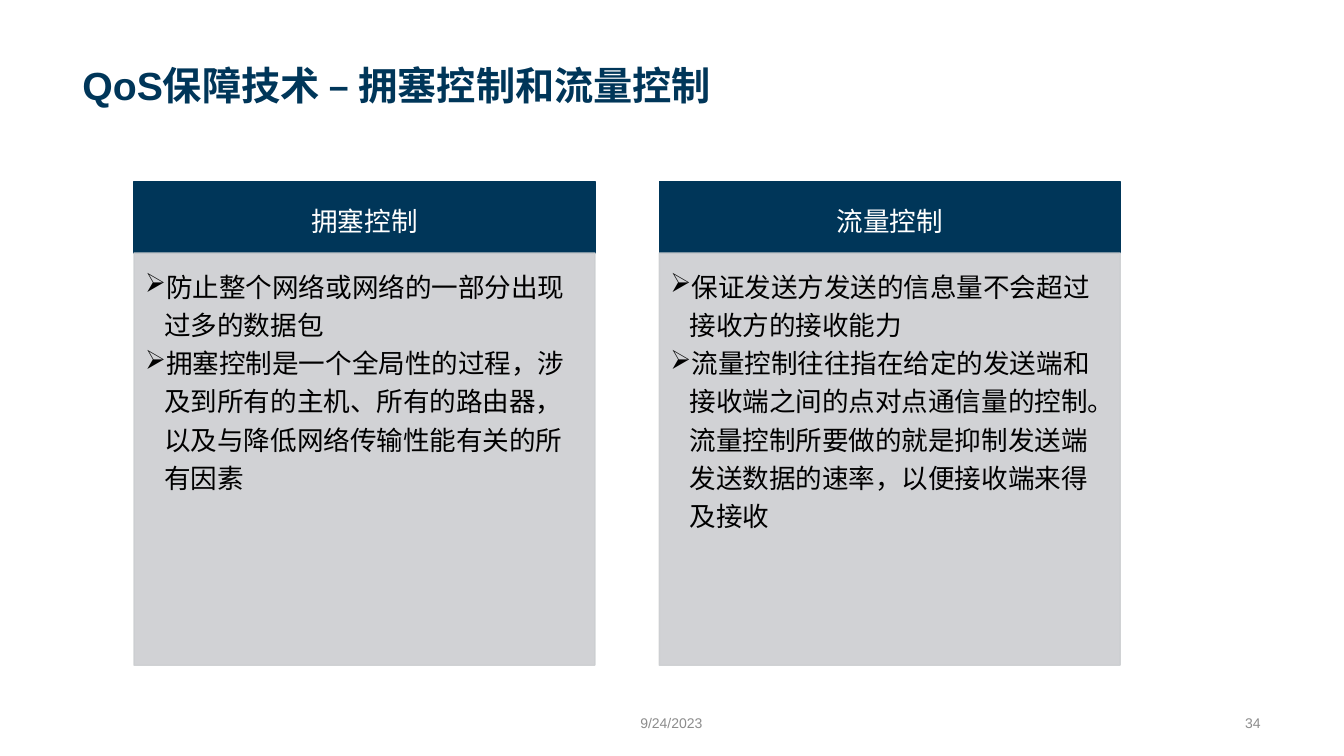
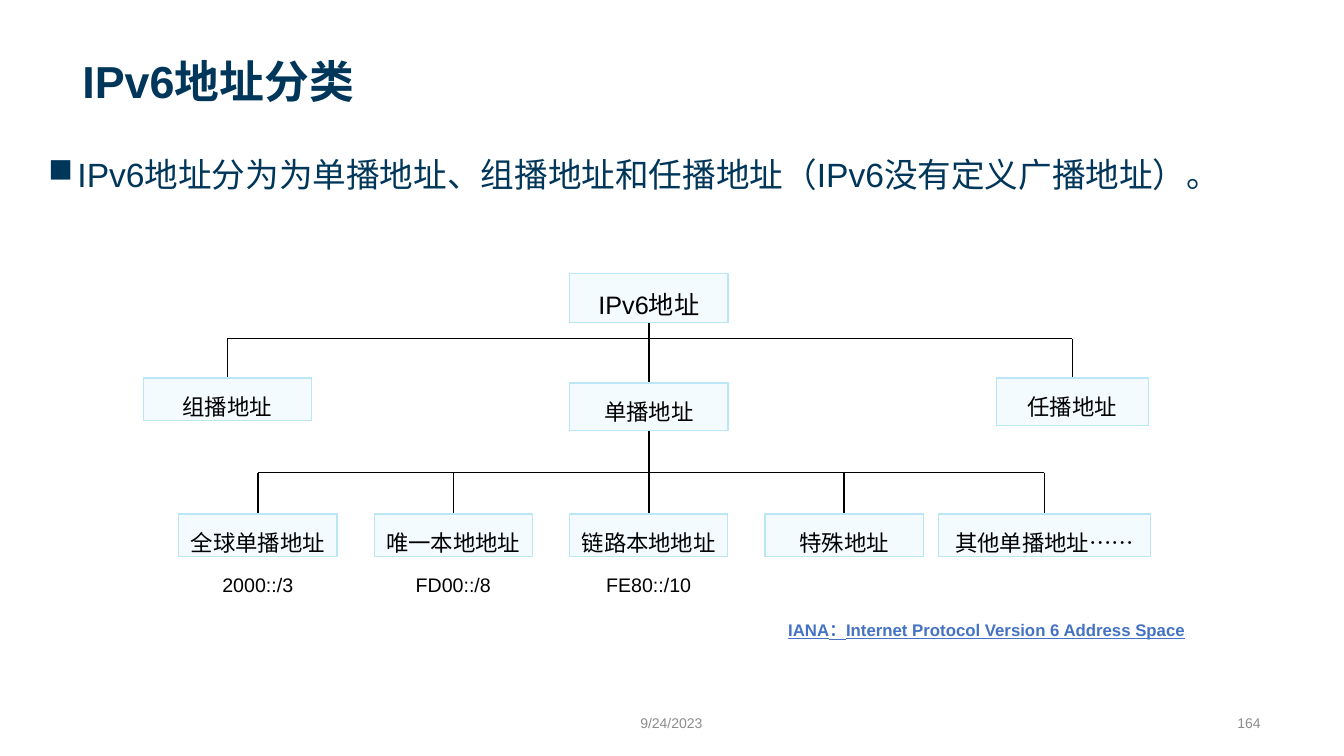
from lxml.etree import SubElement
from pptx import Presentation
from pptx.dml.color import RGBColor
from pptx.enum.lang import MSO_LANGUAGE_ID
from pptx.enum.shapes import MSO_CONNECTOR, MSO_SHAPE
from pptx.enum.text import MSO_ANCHOR, PP_ALIGN
from pptx.oxml.ns import qn
from pptx.util import Inches, Pt

NAVY = RGBColor(0x00, 0x36, 0x59)
PANEL = RGBColor(0xCC, 0xCE, 0xD1)
ICE = RGBColor(0xF4, 0xFB, 0xFE)
SKY = RGBColor(0xBA, 0xE6, 0xF6)
BLUE = RGBColor(0x44, 0x72, 0xC4)
GREY = RGBColor(0x8C, 0x8C, 0x8C)
BLACK = RGBColor(0x00, 0x00, 0x00)
WHITE = RGBColor(0xFF, 0xFF, 0xFF)

FONT = "Arial"
WIDTH, HEIGHT = 13.33, 7.5
DATE = "9/24/2023"


def across(share):
    return Inches(WIDTH * share / 100)


def down(share):
    return Inches(HEIGHT * share / 100)


def center(box):
    return box[0] + box[2] / 2


def write(tf, *texts, size=16, color=BLACK, bold=False, underline=False,
          align=PP_ALIGN.LEFT, bullet=None, indent=0.0):
    """Fill a text frame with one paragraph per text."""
    for i, text in enumerate(texts):
        p = tf.add_paragraph() if i else tf.paragraphs[0]
        if bullet:
            pPr = p._p.get_or_add_pPr()
            pPr.set("marL", str(Inches(indent)))
            pPr.set("indent", str(-Inches(indent)))
            SubElement(pPr, qn("a:buChar"), char=bullet)
        p.alignment = align
        p.line_spacing = 1.2
        r = p.add_run()
        r.text = text
        font = r.font
        font.name, font.size, font.bold = FONT, Pt(size), bold
        font.underline = underline
        font.color.rgb = color
        font.language_id = MSO_LANGUAGE_ID.SIMPLIFIED_CHINESE


def set_margins(target, left, top, right, bottom):
    target.margin_left, target.margin_right = Inches(left), Inches(right)
    target.margin_top, target.margin_bottom = Inches(top), Inches(bottom)


class Deck:
    """Style and current slide; boxes are (x, y, w, h) in percent of the slide."""

    def __init__(self):
        self.prs = Presentation()
        self.prs.slide_width, self.prs.slide_height = Inches(WIDTH), Inches(HEIGHT)
        self.s = None

    def slide(self, title, number, title_size):
        self.s = self.prs.slides.add_slide(self.prs.slide_layouts[6])
        self.text((5.4, 1.87, 89.12, 13.07), title, anchor=MSO_ANCHOR.BOTTOM,
                  size=title_size, color=NAVY, bold=True)
        footer = dict(anchor=MSO_ANCHOR.MIDDLE, size=10, color=GREY)
        self.text((38.7, 93.47, 22.5, 4), DATE, align=PP_ALIGN.CENTER, **footer)
        self.text((63.77, 93.47, 30.76, 4), number, align=PP_ALIGN.RIGHT, **footer)

    def place(self, box):
        x, y, w, h = box
        return across(x), down(y), across(w), down(h)

    def text(self, box, *texts, anchor=MSO_ANCHOR.TOP, **style):
        tf = self.s.shapes.add_textbox(*self.place(box)).text_frame
        tf.word_wrap = True
        tf.vertical_anchor = anchor
        write(tf, *texts, **style)

    def rect(self, box, fill, margins, *texts, anchor=MSO_ANCHOR.TOP,
             opacity=100, **style):
        sp = self.s.shapes.add_shape(MSO_SHAPE.RECTANGLE, *self.place(box))
        sp.shadow.inherit = False
        sp.fill.solid()
        sp.fill.fore_color.rgb = fill
        sp.line.color.rgb = fill
        sp.line.width = Pt(1)
        if opacity < 100:
            for clr in sp._element.spPr.findall(".//" + qn("a:srgbClr")):
                SubElement(clr, qn("a:alpha"), val=str(opacity * 1000))
        tf = sp.text_frame
        tf.word_wrap = True
        tf.vertical_anchor = anchor
        set_margins(tf, *margins)
        write(tf, *texts, **style)

    def panel(self, x, heading, *points):
        """Heading band with a bulleted body below it."""
        w = 34.28
        self.rect((x, 24, w, 9.47), NAVY, (0.15, 0.08, 0.15, 0.08), heading,
                  anchor=MSO_ANCHOR.MIDDLE, size=19, color=WHITE,
                  align=PP_ALIGN.CENTER)
        self.rect((x, 33.47, w, 54.53), PANEL, (0.11, 0.11, 0.15, 0.17), *points,
                  opacity=90, size=19, bullet="➢", indent=0.19)

    def node(self, box, text, size=16):
        """One-cell table with a thin border."""
        frame = self.s.shapes.add_table(1, 1, *self.place(box))
        table = frame.table
        table.first_row = table.horz_banding = False
        cell = table.cell(0, 0)
        set_margins(cell, 0.1, 0.05, 0.1, 0.05)
        cell.vertical_anchor = MSO_ANCHOR.MIDDLE
        tcPr = cell._tc.get_or_add_tcPr()
        for side in ("a:lnL", "a:lnR", "a:lnT", "a:lnB"):
            ln = SubElement(tcPr, qn(side), w=str(Pt(1)))
            fill = SubElement(ln, qn("a:solidFill"))
            SubElement(fill, qn("a:srgbClr"), val=str(SKY))
        cell.fill.solid()
        cell.fill.fore_color.rgb = ICE
        write(cell.text_frame, text, size=size, align=PP_ALIGN.CENTER)

    def line(self, x1, y1, x2, y2):
        c = self.s.shapes.add_connector(MSO_CONNECTOR.STRAIGHT, across(x1), down(y1),
                                        across(x2), down(y2))
        c.line.color.rgb = BLACK
        c.line.width = Pt(1)
        SubElement(c._element.spPr, qn("a:effectLst"))

    def branch(self, bar, bottom, xs):
        """Horizontal bar at height bar with a drop to bottom at each x."""
        self.line(xs[0], bar, xs[-1], bar)
        for x in xs:
            self.line(x, bar, x, bottom)


def control_slide(deck):
    deck.slide("QoS保障技术 – 拥塞控制和流量控制", "34", 28)
    deck.panel(9.98, "拥塞控制",
               "防止整个网络或网络的一部分出现过多的数据包",
               "拥塞控制是一个全局性的过程，涉及到所有的主机、所有的路由器，"
               "以及与降低网络传输性能有关的所有因素")
    deck.panel(49.06, "流量控制",
               "保证发送方发送的信息量不会超过接收方的接收能力",
               "流量控制往往指在给定的发送端和接收端之间的点对点通信量的控制。"
               "流量控制所要做的就是抑制发送端发送数据的速率，以便接收端来得及接收")


def address_slide(deck):
    deck.slide("IPv6地址分类", "164", 32)
    deck.text((2.85, 18.67, 94.3, 7.47),
              "IPv6地址分为为单播地址、组播地址和任播地址（IPv6没有定义广播地址）。",
              size=24, color=NAVY, bullet="■", indent=0.29)

    node_w, leaf_y, leaf_h = 11.78, 68, 5.2
    root = (42.39, 36.13, node_w, 6.5)
    kinds = {
        "组播地址": (10.65, 50, 12.53, 5.6),
        "单播地址": (42.39, 50.67, node_w, 6.27),
        "任播地址": (74.12, 50, 11.33, 6.27),
    }
    names = ("全球单播地址", "唯一本地地址", "链路本地地址", "特殊地址")
    leaves = {name: (13.3 + 14.54 * i, leaf_y, node_w, leaf_h)
              for i, name in enumerate(names)}
    leaves["其他单播地址……"] = (69.84, leaf_y, 15.75, leaf_h)

    spine = center(root)
    deck.line(spine, 41.47, spine, leaf_y)
    deck.branch(44.8, 50, [center(kinds[k]) for k in ("组播地址", "任播地址")])
    deck.branch(62.53, leaf_y, [center(box) for name, box in leaves.items()
                                if name != "链路本地地址"])

    deck.node(root, "IPv6地址", size=18)
    for name, box in (kinds | leaves).items():
        deck.node(box, name)
    for box, prefix in zip(leaves.values(), ("2000::/3", "FD00::/8", "FE80::/10")):
        deck.text((box[0], 74.53, node_w, 4.8), prefix, size=14,
                  align=PP_ALIGN.CENTER)
    deck.text((57.91, 80.8, 31.36, 4.27),
              "IANA：Internet Protocol Version 6 Address Space",
              size=12, color=BLUE, bold=True, underline=True)


def main():
    deck = Deck()
    control_slide(deck)
    address_slide(deck)
    deck.prs.save("out.pptx")


if __name__ == "__main__":
    main()
